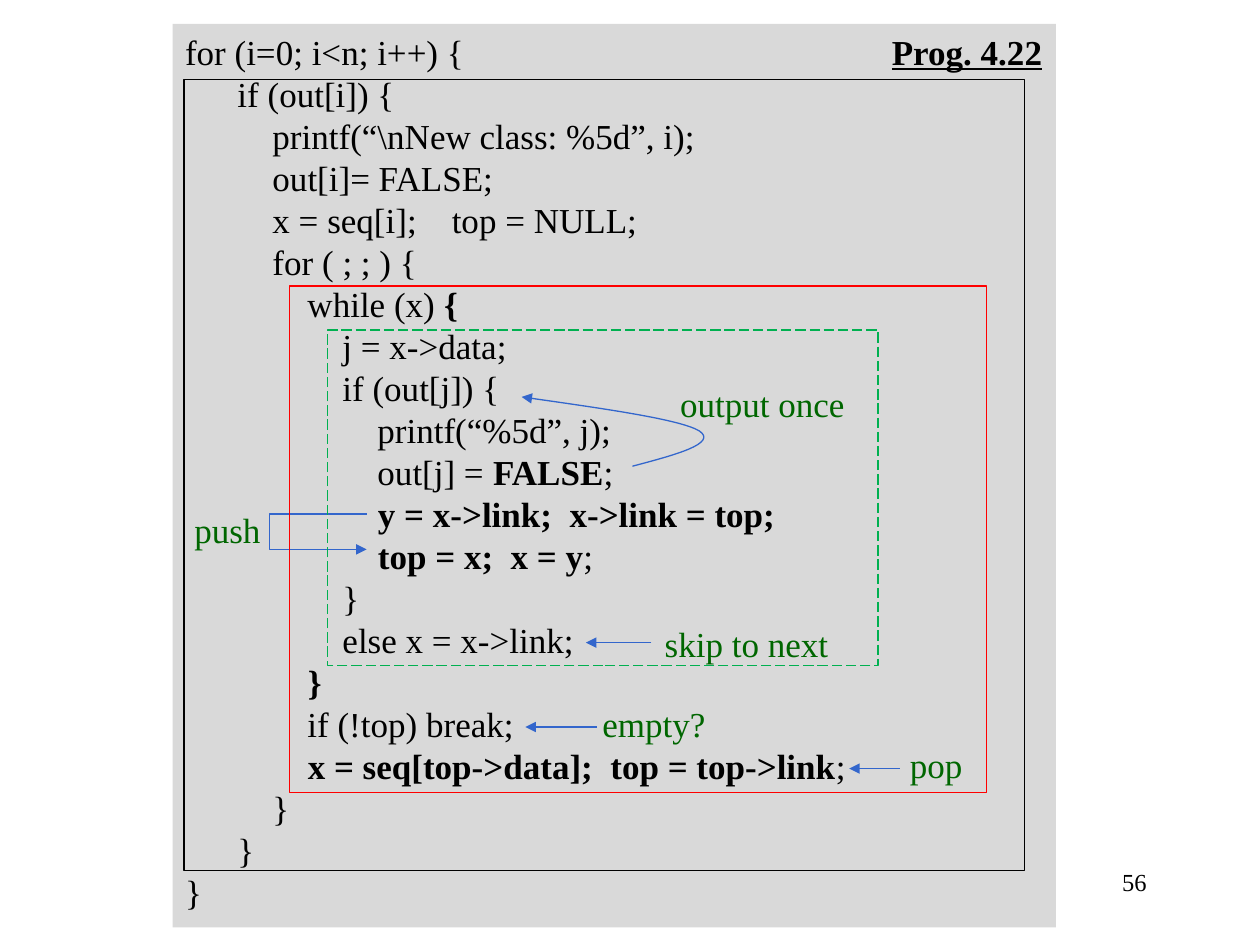
import pptx
import pptx.util
import pptx.dml.color
import pptx.enum.dml
import pptx.enum.shapes
import pptx.enum.text
import pptx.oxml
import pptx.oxml.ns
import pptx.oxml.xmlchemy

Inches = pptx.util.Inches
Pt = pptx.util.Pt
RGBColor = pptx.dml.color.RGBColor
PP_ALIGN = pptx.enum.text.PP_ALIGN
RECTANGLE = pptx.enum.shapes.MSO_SHAPE.RECTANGLE
OxmlElement = pptx.oxml.xmlchemy.OxmlElement
qn = pptx.oxml.ns.qn

FONT = "Times New Roman"
COLORS = {
    "text": "000000",
    "note": "006600",
    "arrow": "3366CC",
    "panel": "D9D9D9",
    "outer": "000000",
    "loop": "FF0000",
    "while": "00B050",
}

# A bar switches bold on or off.
CODE = """for (i=0; i<n; i++) {
      if (out[i]) {
          printf(“\\nNew class: %5d”, i);
          out[i]= FALSE;
          x = seq[i];    top = NULL;
          for ( ; ; ) {
              while (x) |{|
                  j = x->data;
                  if (out[j]) {
                      printf(“%5d”, j);
                      out[j] = |FALSE|;
                      |y = x->link;  x->link = top;|
                      |top = x;  x = y|;
                  }
                  else x = x->link;
              |}|
              if (!top) break;
              |x = seq[top->data];  top = top->link|;
          }
      }
}"""


def add_label(text, left, top, width, height, color="note", size=20, align=PP_ALIGN.CENTER):
    """Add a one-line text box and return its font."""
    box = slide.shapes.add_textbox(Inches(left), Inches(top), Inches(width), Inches(height))
    box.text_frame.word_wrap = False
    box.text_frame.text = text
    paragraph = box.text_frame.paragraphs[0]
    paragraph.alignment = align
    font = paragraph.runs[0].font
    font.name = FONT
    font.size = Pt(size)
    font.color.rgb = RGBColor.from_string(COLORS[color])
    return font


def style_arrow(shape):
    """Give a connector or open outline a thin line with a head at its end."""
    shape.line.color.rgb = RGBColor.from_string(COLORS["arrow"])
    shape.line.width = Pt(0.75)
    head = OxmlElement("a:tailEnd")
    head.set("type", "triangle")
    shape._element.spPr.find(qn("a:ln")).append(head)


presentation = pptx.Presentation()
presentation.slide_width = Inches(10)
presentation.slide_height = Inches(7.5)
slide = presentation.slides.add_slide(presentation.slide_layouts[6])

add_label("56", 7.12, 6.83, 2.08, 0.5, "text", 14, PP_ALIGN.RIGHT)

# Program listing
panel = slide.shapes.add_shape(RECTANGLE, Inches(1.37), Inches(0.19), Inches(7.01), Inches(7.17))
panel.shadow.inherit = False
panel.fill.solid()
panel.fill.fore_color.rgb = RGBColor.from_string(COLORS["panel"])
panel.line.fill.background()
panel.text_frame.vertical_anchor = pptx.enum.text.MSO_ANCHOR.TOP
for number, code_line in enumerate(CODE.splitlines()):
    if number == 0:
        paragraph = panel.text_frame.paragraphs[0]
    else:
        paragraph = panel.text_frame.add_paragraph()
    paragraph.alignment = PP_ALIGN.LEFT
    paragraph.line_spacing = Pt(24)
    for position, part in enumerate(code_line.split("|")):
        if part:
            run = paragraph.add_run()
            run.text = part
            run.font.name = FONT
            run.font.size = Pt(20)
            run.font.bold = position % 2 == 1
            run.font.color.rgb = RGBColor.from_string(COLORS["text"])

# Notes beside the code
for text, left, top, width in [
    ("push", 1.44, 3.99, 0.73),
    ("empty?", 4.68, 5.53, 1.02),
    ("pop", 7.12, 5.85, 0.62),
    ("output once", 5.29, 2.99, 1.52),
    ("skip to next", 5.17, 4.89, 1.51),
]:
    add_label(text, left, top, width, 0.44)

title_font = add_label("Prog. 4.22", 6.96, 0.19, 1.43, 0.44, "text")
title_font.bold = True
title_font.underline = True

# Straight arrows from the notes to the code
for start, end, y in [(4.74, 4.17, 5.77), (7.14, 6.74, 6.1), (5.17, 4.65, 5.1)]:
    arrow = slide.shapes.add_connector(
        pptx.enum.shapes.MSO_CONNECTOR.STRAIGHT,
        Inches(start), Inches(y), Inches(end), Inches(y))
    style_arrow(arrow)
    arrow._element.spPr.append(OxmlElement("a:effectLst"))

# Bracket for push and curve for output once
push_points = [(2.91, 4.08), (2.14, 4.08), (2.14, 4.36), (2.91, 4.36)]
curve_points = [(5.02, 3.7), (5.36, 3.61), (5.7, 3.52), (5.55, 3.42),
                (5.4, 3.33), (4.77, 3.24), (4.14, 3.15)]
for points, curved in [(push_points, False), (curve_points, True)]:
    corners = [(Inches(x), Inches(y)) for x, y in points]
    builder = slide.shapes.build_freeform(*corners[0])
    builder.add_line_segments(corners[1:], close=False)
    outline = builder.convert_to_shape()
    outline.shadow.inherit = False
    outline.fill.background()
    style_arrow(outline)
    if curved:
        # Every three line segments become the points of one Bezier segment.
        segments = list(outline._element.iter(qn("a:lnTo")))
        for first in range(0, len(segments), 3):
            bezier = OxmlElement("a:cubicBezTo")
            segments[first].addprevious(bezier)
            for segment in segments[first:first + 3]:
                bezier.append(segment[0])
                segment.getparent().remove(segment)

# Frames around the nested blocks
for name, left, top, width, height in [
    ("while", 2.6, 2.62, 4.37, 2.66),
    ("loop", 2.3, 2.27, 5.53, 4.02),
    ("outer", 1.46, 0.63, 6.67, 6.28),
]:
    frame = slide.shapes.add_shape(
        RECTANGLE, Inches(left), Inches(top), Inches(width), Inches(height))
    frame.shadow.inherit = False
    frame.fill.background()
    frame.line.color.rgb = RGBColor.from_string(COLORS[name])
    frame.line.width = Pt(0.75)
    if name == "while":
        frame.line.dash_style = pptx.enum.dml.MSO_LINE.LONG_DASH

presentation.save("out.pptx")
